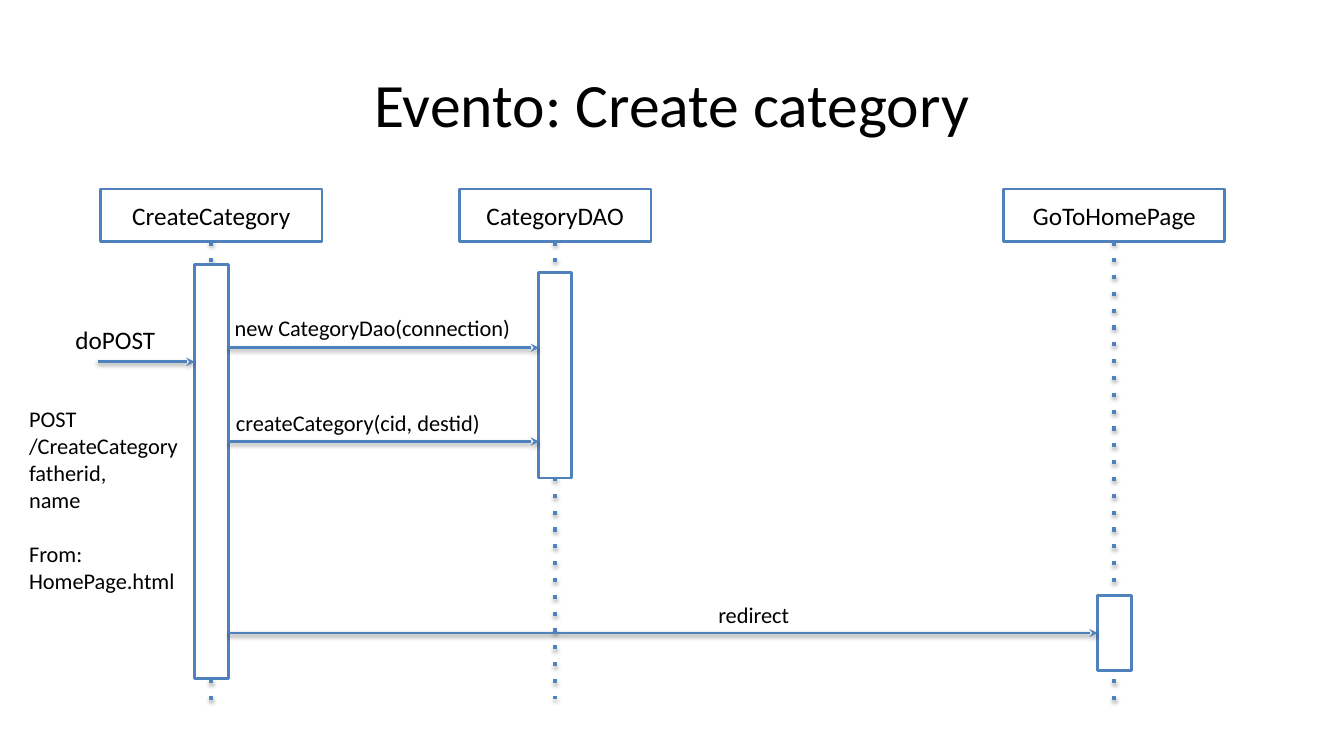
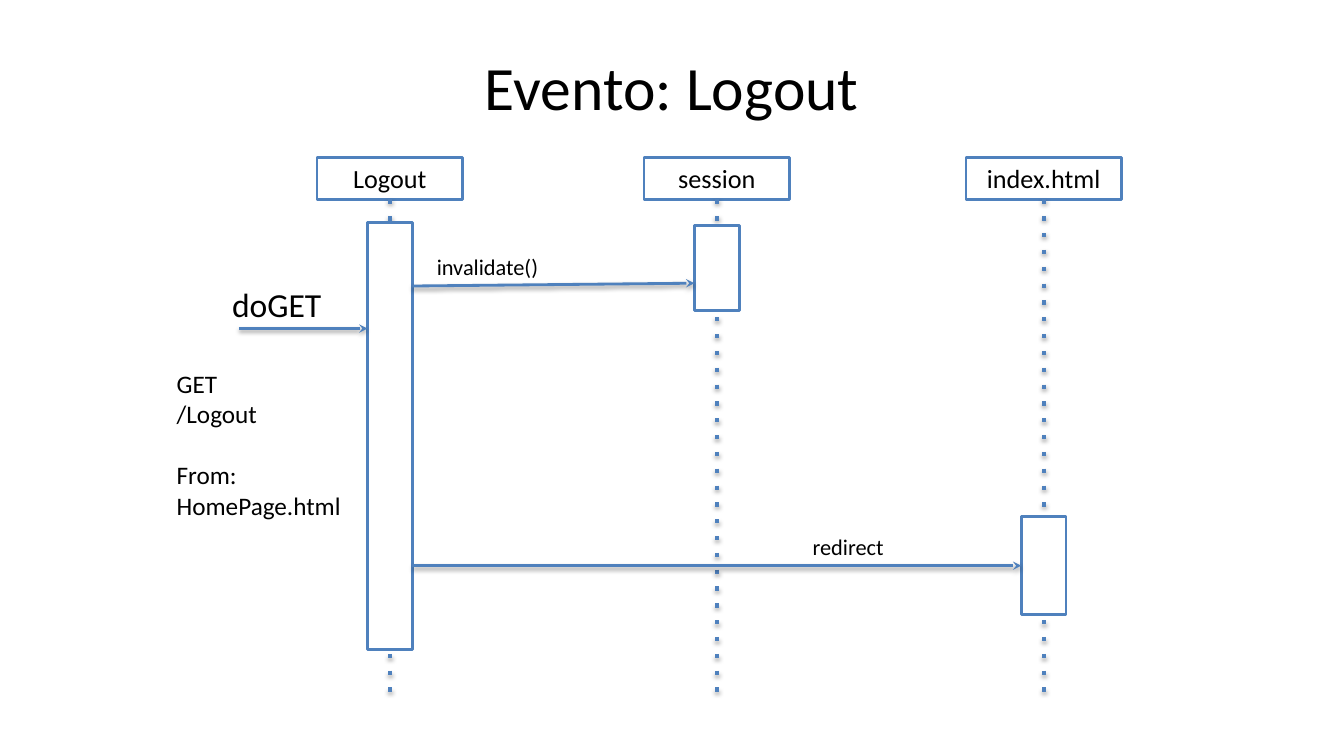
"""Build two sequence diagrams for the category and logout events."""
from lxml.etree import SubElement
from pptx import Presentation
from pptx.dml.color import RGBColor
from pptx.enum.shapes import MSO_CONNECTOR, MSO_SHAPE
from pptx.enum.text import MSO_ANCHOR, PP_ALIGN
from pptx.oxml.ns import qn
from pptx.util import Pt

BLUE = RGBColor(0x4F, 0x81, 0xBD)
WHITE = RGBColor(0xFF, 0xFF, 0xFF)
BLACK = RGBColor(0x00, 0x00, 0x00)
FONT = "Calibri"
LINE_HEIGHT = 1.22
TOP, LEFT, BOTTOM = 0, 1, 2


def write(sp, lines, size, inset, align=PP_ALIGN.LEFT, anchor=MSO_ANCHOR.TOP):
    tf = sp.text_frame
    tf.word_wrap = True
    tf.vertical_anchor = anchor
    tf.margin_left = tf.margin_right = Pt(inset)
    tf.margin_top = tf.margin_bottom = Pt(inset / 2)
    tf.text = lines
    for p in tf.paragraphs:
        p.alignment = align
        for r in p.runs:
            r.font.name = FONT
            r.font.size = Pt(size)
            r.font.color.rgb = BLACK


def add_text(s, box, lines, size, inset=7.2, **style):
    sp = s.shapes.add_textbox(*map(Pt, box))
    write(sp, lines, size, inset, **style)
    return sp


def add_title(s, title, middle):
    add_text(s, (48, middle - 36, 864, 72), title, 44,
             align=PP_ALIGN.CENTER, anchor=MSO_ANCHOR.MIDDLE)


def add_request(s, box, lines, size, inset):
    sp = add_text(s, box, lines, size, inset)
    sp.text_frame.paragraphs[-1].space_before = Pt(size * LINE_HEIGHT)


def add_box(s, cx, top, width, height):
    sp = s.shapes.add_shape(MSO_SHAPE.RECTANGLE, Pt(cx - width / 2), Pt(top),
                            Pt(width), Pt(height))
    sp.shadow.inherit = False
    sp.fill.solid()
    sp.fill.fore_color.rgb = WHITE
    sp.line.color.rgb = BLUE
    sp.line.width = Pt(2)
    return sp


def add_shadow(cxn, distance, opacity):
    effects = SubElement(cxn._element.spPr, qn("a:effectLst"))
    shadow = SubElement(effects, qn("a:outerShdw"), blurRad=str(Pt(3.1)),
                        dist=str(Pt(distance)), dir="5400000", rotWithShape="0")
    color = SubElement(shadow, qn("a:srgbClr"), val=str(BLACK))
    SubElement(color, qn("a:alpha"), val=str(opacity * 1000))


def add_line(s, x1, y1, x2, y2, width):
    cxn = s.shapes.add_connector(MSO_CONNECTOR.STRAIGHT, *map(Pt, (x1, y1, x2, y2)))
    cxn.line.color.rgb = BLUE
    cxn.line.width = Pt(width)
    return cxn


def add_lifeline(s, head, cx, top, end):
    cxn = add_line(s, cx, top, cx, end, 3)
    SubElement(cxn.line._get_or_add_ln(), qn("a:prstDash"), val="dot")
    add_shadow(cxn, 1.8, 35)
    cxn.begin_connect(head, BOTTOM)


def add_message(s, x1, y1, x2, y2, target=None):
    cxn = add_line(s, x1, y1, x2, y2, 2)
    SubElement(cxn.line._get_or_add_ln(), qn("a:tailEnd"), type="stealth")
    add_shadow(cxn, 1.6, 38)
    if target is not None:
        cxn.end_connect(target, LEFT)


def add_participants(s, top, height, bar_width, size, inset, participants):
    bars = []
    for name, cx, width, bar_top, bar_height, end in participants:
        head = add_box(s, cx, top, width, height)
        write(head, name, size, inset, PP_ALIGN.CENTER, MSO_ANCHOR.MIDDLE)
        add_lifeline(s, head, cx, top + height, end)
        bars.append(add_box(s, cx, bar_top, bar_width, bar_height))
    return bars


def create_category(s):
    inset = 7.2
    add_title(s, "Evento: Create category", 73.5)
    bars = add_participants(s, 135, 37.4, 24, 18, inset, [
        ("CreateCategory", 151, 158, 188.7, 296, 504),
        ("CategoryDAO", 396.5, 137, 194.5, 147, 499),
        ("GoToHomePage", 796, 158, 425.5, 53.4, 504),
    ])
    add_message(s, 69.8, 258.5, 139, 258.5)
    add_message(s, 163, 248.4, 385, 248.4)
    add_message(s, 163, 315.4, 385, 315.4)
    add_message(s, 163, 452.2, 784, 452.2, bars[2])
    add_text(s, (46.8, 228, 72, 22), "doPOST", 18, inset)
    add_text(s, (160.5, 221, 246, 22), "new CategoryDao(connection)", 16, inset)
    add_text(s, (161.5, 288.7, 210, 22), "createCategory(cid, destid)", 16, inset)
    add_text(s, (374.4, 425.5, 328, 26), "redirect", 16, inset, align=PP_ALIGN.CENTER)
    add_request(s, (13.7, 286, 137.5, 163),
                "POST\n/CreateCategory\nfatherid,\nname\nFrom: HomePage.html", 16, inset)


def logout(s):
    inset = 9.6
    first, step = 278.5, 233.5
    add_title(s, "Evento: Logout", 61.2)
    bars = add_participants(s, 112.3, 30.2, 32, 18.7, inset, [
        ("Logout", first, 104, 159.2, 304.6, 497),
        ("session", first + step, 104, 161, 60.6, 497),
        ("index.html", first + 2 * step, 111, 369.2, 69.8, 497),
    ])
    add_message(s, 170.6, 234.7, 262.5, 234.7)
    add_message(s, 294.5, 204.3, 496, 202.3)
    add_message(s, 294.5, 404.1, 729.5, 404.1, bars[2])
    add_text(s, (156.2, 198, 96.5, 29), "doGET", 24, inset)
    add_text(s, (302.4, 175.7, 168.5, 24.5), "invalidate()", 16, inset)
    add_text(s, (494.6, 376, 222.5, 26.6), "redirect", 16, inset, align=PP_ALIGN.CENTER)
    add_request(s, (116.6, 258.5, 138.2, 221), "GET\n/Logout\nFrom: HomePage.html", 18, inset)


def main():
    prs = Presentation()
    prs.slide_width, prs.slide_height = Pt(960), Pt(540)
    for build in (create_category, logout):
        build(prs.slides.add_slide(prs.slide_layouts[6]))
    prs.save("out.pptx")


if __name__ == "__main__":
    main()
